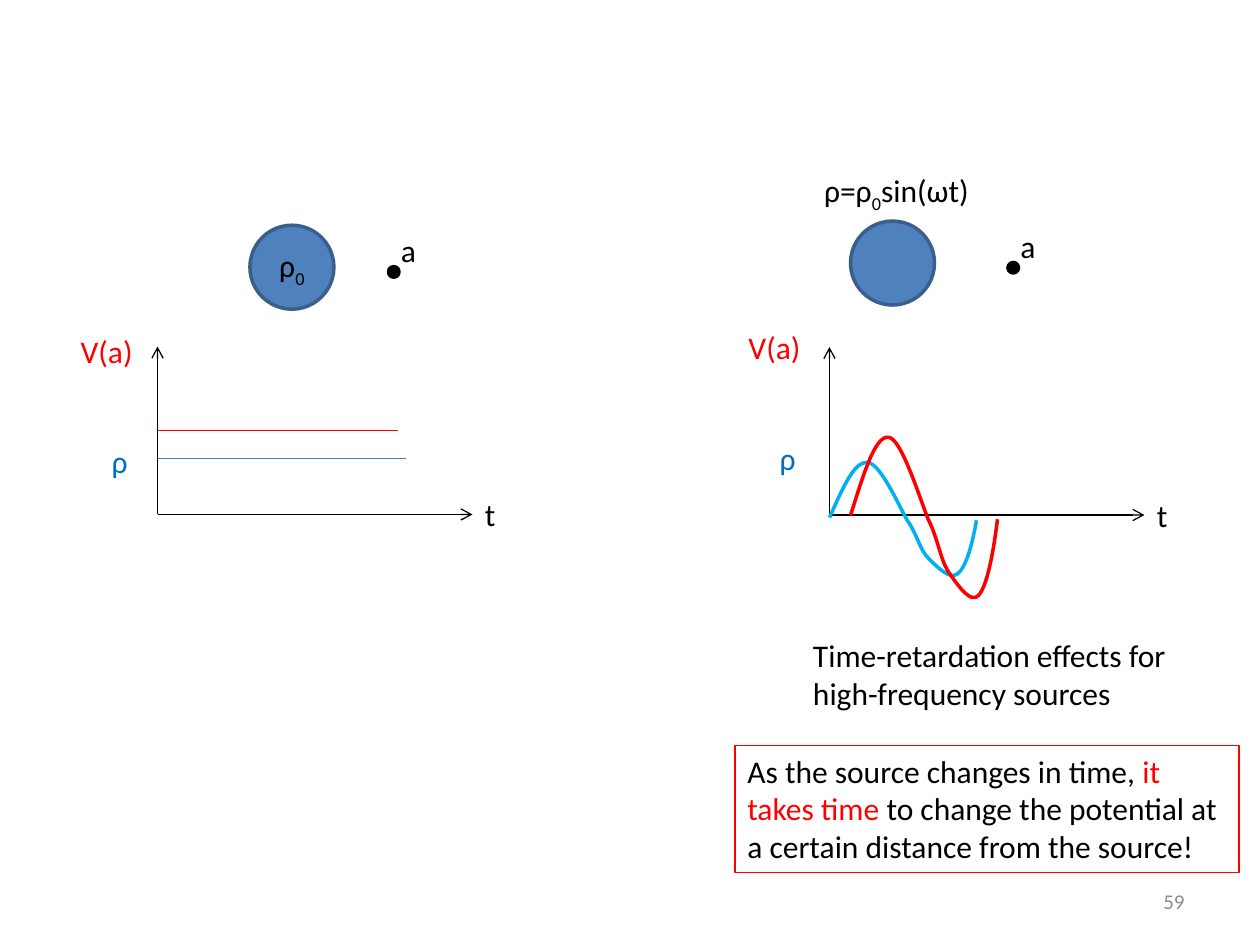
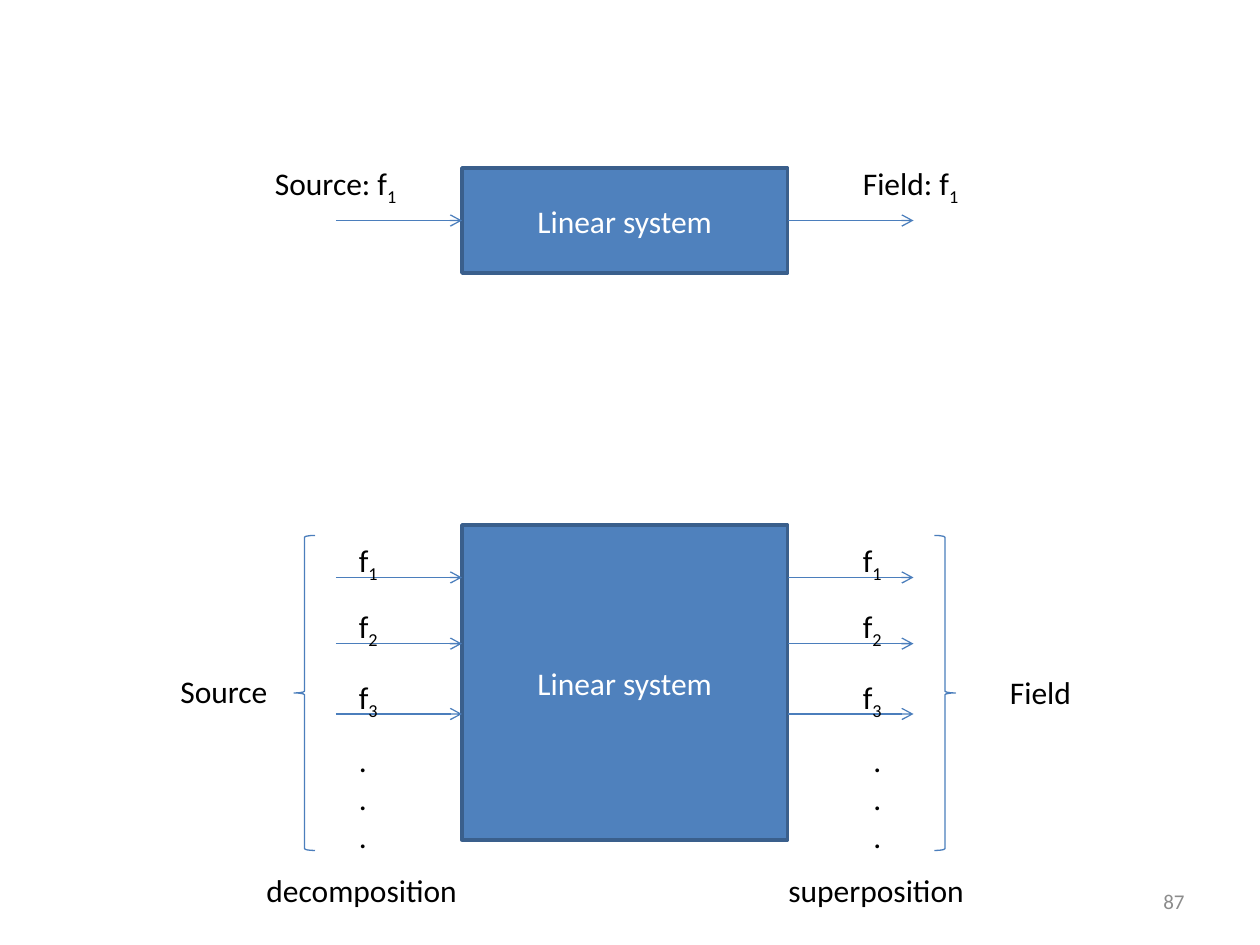
from lxml import etree
from pptx import Presentation
from pptx import util as u
from pptx.dml.color import RGBColor
from pptx.enum import shapes, text
from pptx.oxml import ns

BLACK = RGBColor(0x00, 0x00, 0x00)
WHITE = RGBColor(0xFF, 0xFF, 0xFF)
RED = RGBColor(0xFF, 0x00, 0x00)
BLUE = RGBColor(0x4F, 0x81, 0xBD)
BLUE_EDGE = RGBColor(0x3A, 0x5F, 0x8C)
BLUE_LINE = RGBColor(0x4B, 0x7E, 0xBC)
BLUE_TEXT = RGBColor(0x00, 0x70, 0xC0)
SKY = RGBColor(0x00, 0xB0, 0xF0)
GREY = RGBColor(0x8C, 0x8C, 0x8C)

FONT = "Calibri"
WIDTH, HEIGHT = u.Inches(10), u.Inches(7.5)
CELL = WIDTH / 120
THIN, THICK = u.Pt(0.75), u.Pt(2)
LINE_ROWS = 4.8

DENSITY_WAVE = [
    (0, 0.24), (1.2, -2.4), (2.3, -5.1), (3.6, -5),
    (4.8, -5), (6.5, -1.1), (7.4, 0.5),
    (8.4, 1.9), (8.6, 3.4), (9.5, 4.2),
    (10.3, 5), (11.5, 6.2), (12.2, 5.6),
    (13, 5), (13.6, 2.8), (14, 0.5),
]


def cells(*counts):
    """Turn grid cells, 120 across and 90 down, into lengths."""
    return [u.Emu(round(count * CELL)) for count in counts]


def subscript(font):
    """Lower a run below the baseline."""
    font._element.set("baseline", "-25000")


def redden(font):
    """Stress a run in red."""
    font.color.rgb = RED


def write(frame, content, color=BLACK, size=18, align=text.PP_ALIGN.LEFT, accent=subscript):
    """Fill a frame line by line; pieces between underscores get the accent."""
    for number, line in enumerate(content.split("\n")):
        paragraph = frame.add_paragraph() if number else frame.paragraphs[0]
        paragraph.alignment = align
        paragraph.font.name, paragraph.font.size = FONT, u.Pt(size)
        paragraph.font.color.rgb = color
        for index, piece in enumerate(line.split("_")):
            if piece:
                run = paragraph.add_run()
                run.text = piece
                if index % 2:
                    accent(run.font)


def label(slide, left, top, width, content, height=LINE_ROWS, wrap=False, grow=True, **style):
    """Place a text box on the grid."""
    box = slide.shapes.add_textbox(*cells(left, top, width, height))
    box.text_frame.word_wrap = wrap
    if grow:
        box.text_frame.auto_size = text.MSO_AUTO_SIZE.SHAPE_TO_FIT_TEXT
    write(box.text_frame, content, **style)
    return box


def solid(slide, kind, left, top, width, height, fill=BLUE, edge=BLUE_EDGE):
    """Place a filled and outlined preset shape."""
    shape = slide.shapes.add_shape(kind, *cells(left, top, width, height))
    shape.shadow.inherit = False
    shape.fill.solid()
    shape.fill.fore_color.rgb = fill
    shape.line.color.rgb, shape.line.width = edge, THICK
    return shape


def segment(slide, x1, y1, x2, y2, color=BLUE_LINE, arrow=True):
    """Draw a thin straight line, with an open arrowhead if wanted."""
    line = slide.shapes.add_connector(shapes.MSO_CONNECTOR.STRAIGHT, *cells(x1, y1, x2, y2))
    line.line.color.rgb, line.line.width = color, THIN
    if arrow:
        etree.SubElement(line.line._get_or_add_ln(), ns.qn("a:tailEnd"), type="arrow")
    etree.SubElement(line._element.spPr, ns.qn("a:effectLst"))


def round_off(curve):
    """Turn each three straight steps of an outline into one cubic curve."""
    outline = next(curve._element.iter(ns.qn("a:path")))
    steps = outline.findall(ns.qn("a:lnTo"))
    for start in range(0, len(steps), 3):
        cubic = etree.SubElement(outline, ns.qn("a:cubicBezTo"))
        for step in steps[start:start + 3]:
            cubic.append(step[0])
            outline.remove(step)


def wave(group, left, top, color, gain=1):
    """Draw the density wave, amplified, from its starting point on a graph."""
    base = DENSITY_WAVE[0][1]
    points = [cells(left + x, top + base + gain * (y - base)) for x, y in DENSITY_WAVE]
    builder = group.shapes.build_freeform(*points[0])
    builder.add_line_segments(points[1:], close=False)
    curve = builder.convert_to_shape()
    round_off(curve)
    curve.shadow.inherit = False
    curve.fill.background()
    curve.line.color.rgb, curve.line.width = color, THICK


def charge(slide, left, top, distance, density=""):
    """Draw a charged ball and the point a at a distance from it."""
    ball = solid(slide, shapes.MSO_SHAPE.OVAL, left, top, 8, 8)
    if density:
        write(ball.text_frame, density, align=text.PP_ALIGN.CENTER)
    solid(slide, shapes.MSO_SHAPE.OVAL, left + distance, top + 3.95, 1, 1, BLACK, BLACK)
    label(slide, left + distance, top, 3.8, "a")


def graph(slide, left, top, shift=0, lift=0):
    """Draw time axes from an origin, with potential and density labels."""
    segment(slide, left, top, left, top - 16, BLACK)
    segment(slide, left, top, left + 30, top, BLACK)
    label(slide, left + 30, top - 2.4, 3.5, "t")
    label(slide, left - 8.5 - shift, top - 18 - lift, 7.4, "V(a)", color=RED)
    label(slide, left - 5.6 - shift, top - 7.45 - lift, 4, "ρ", wrap=True, grow=False,
          color=BLUE_TEXT, align=text.PP_ALIGN.CENTER)


def constant_levels(slide, left, top):
    """Draw the steady potential above the steady density."""
    levels = slide.shapes.add_group_shape()
    segment(levels, left, top, left + 22.9, top, RED, arrow=False)
    segment(levels, left, top + 2.7, left + 23.7, top + 2.7, arrow=False)


def delayed_waves(slide, left, top):
    """Draw the density wave and the later, larger potential wave."""
    waves = slide.shapes.add_group_shape()
    wave(waves, left, top, SKY)
    wave(waves, left + 2, top - 0.2, RED, gain=1.42)


def remarks(slide, left, top):
    """Write the finding and its framed explanation."""
    label(slide, left + 6.25, top, 36.7, "Time-retardation effects for high-frequency sources",
          height=8.5, wrap=True)
    note = label(slide, left, top + 11, 48,
                 "As the source changes in time, _it takes time _to change the potential "
                 "at a certain distance from the source!",
                 height=12.1, wrap=True, accent=redden)
    note.line.color.rgb, note.line.width = RED, THIN


def page_number(slide, number):
    """Write the page number at the lower right."""
    box = label(slide, 86, 83.4, 28, str(number), wrap=True, grow=False, color=GREY, size=12,
                align=text.PP_ALIGN.RIGHT)
    box.text_frame.vertical_anchor = text.MSO_ANCHOR.MIDDLE


def system(slide, left, top, height, flows):
    """Draw a linear system with arrows in and out at the given rows."""
    block = solid(slide, shapes.MSO_SHAPE.RECTANGLE, left, top, 31, height)
    write(block.text_frame, "Linear system", WHITE, align=text.PP_ALIGN.CENTER)
    for row in flows:
        for start in (left - 12, left + 31):
            segment(slide, start, top + row, start + 12, top + row)


def brace(slide, left, top, mirrored=False):
    """Draw a brace that gathers the components."""
    shape = slide.shapes.add_shape(shapes.MSO_SHAPE.LEFT_BRACE, *cells(left, top, 2, 30))
    shape.shadow.inherit = False
    shape.fill.background()
    shape.line.color.rgb, shape.line.width = BLUE_LINE, THIN
    if mirrored:
        shape._element.spPr.xfrm.set("flipH", "1")


def components(slide, left, top, flows, dots):
    """Label the arrows of one side f1, f2, f3 and so on."""
    for number, row in enumerate(flows, 1):
        label(slide, left, top + row - 4.05, 4.3, f"f_{number}_")
    label(slide, left + dots, top + 20, 3.2, ".\n.\n.", height=12.1)


def retardation_slide(slide):
    """Compare a static source with an oscillating one."""
    charge(slide, 23.8, 21.45, 13.2, "ρ_0_")
    graph(slide, 15, 49)
    constant_levels(slide, 15, 41)
    label(slide, 77.3, 15.7, 16.7, "ρ=ρ_0_sin(ωt)")
    charge(slide, 81, 21.05, 15)
    graph(slide, 79, 49.05, shift=0.4, lift=0.4)
    delayed_waves(slide, 79, 49.05)
    remarks(slide, 70, 60)
    page_number(slide, 59)


def superposition_slide(slide):
    """Show one signal, then many, through a linear system."""
    flows = (5, 11.3, 18)
    system(slide, 44, 16, 10, [5])
    label(slide, 25, 15, 14.3, "Source: f_1_")
    label(slide, 81, 15, 11.8, "Field: f_1_")
    system(slide, 44, 50, 30, flows)
    components(slide, 33, 50, flows, 0)
    components(slide, 81, 50, flows, 1)
    brace(slide, 28, 51)
    brace(slide, 89, 51, mirrored=True)
    label(slide, 16, 63.45, 10.8, "Source")
    label(slide, 95, 63.5, 8.3, "Field")
    label(slide, 24.2, 82.4, 20.8, "decomposition")
    label(slide, 73.9, 82.4, 19.3, "superposition")
    page_number(slide, 87)


def main():
    """Build and save the slides."""
    deck = Presentation()
    deck.slide_width, deck.slide_height = WIDTH, HEIGHT
    for fill_slide in (retardation_slide, superposition_slide):
        fill_slide(deck.slides.add_slide(deck.slide_layouts[6]))
    deck.save("out.pptx")


if __name__ == "__main__":
    main()
